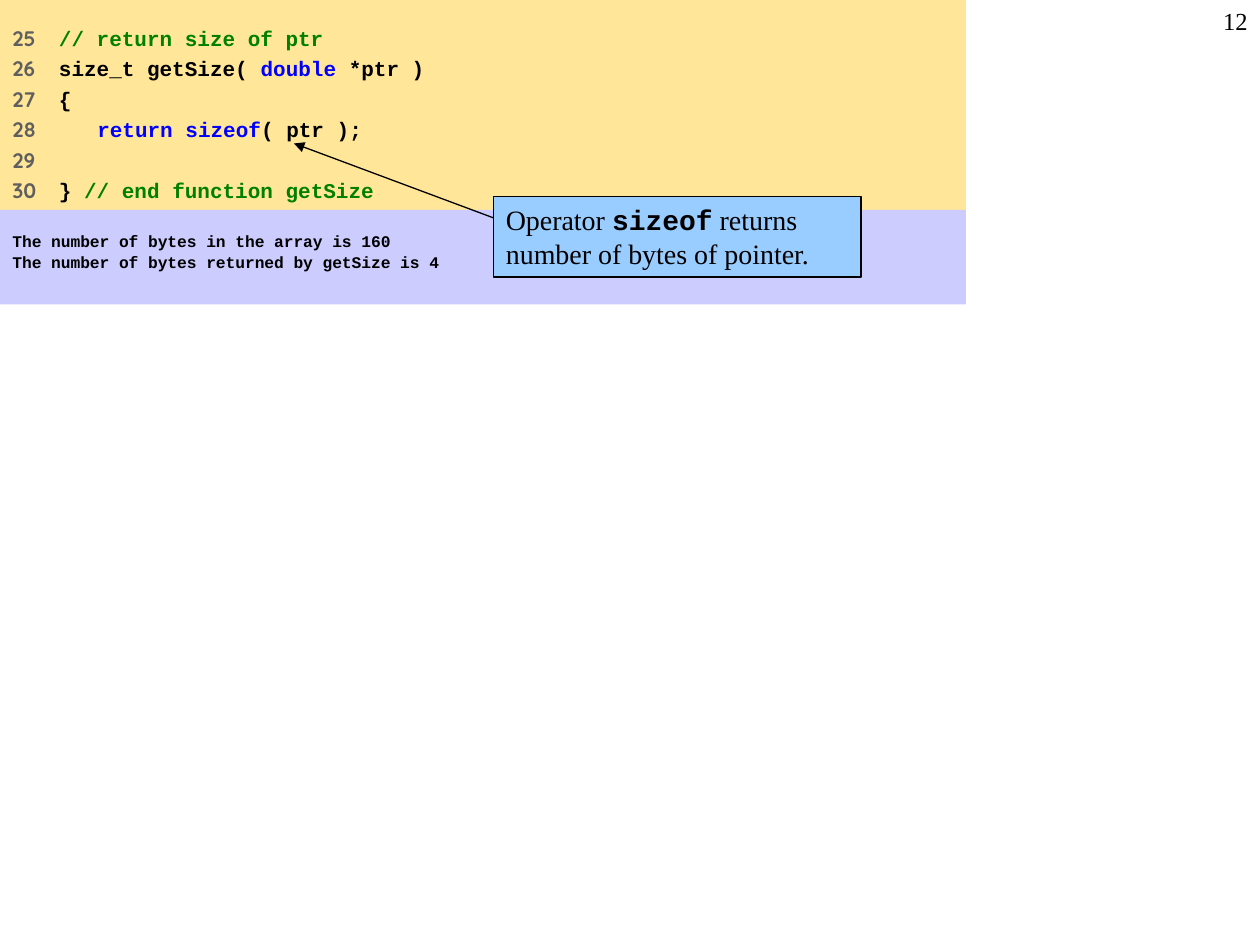
from dataclasses import dataclass

from lxml.etree import SubElement
from pptx import Presentation
from pptx.dml.color import RGBColor as Rgb
from pptx.enum.shapes import MSO_CONNECTOR as Link, MSO_SHAPE as Kind
from pptx.enum.text import MSO_ANCHOR as Anchor, PP_ALIGN as Align
from pptx.oxml.ns import qn
from pptx.util import Pt


@dataclass(frozen=True)
class Theme:
    """Colours, fonts and type sizes."""
    ink: str = "000000"
    dim: str = "5F5F5F"
    note: str = "008000"
    key: str = "0000FF"
    sand: str = "FFE699"
    lilac: str = "CCCCFF"
    sky: str = "99CCFF"
    mono: str = "Courier New"
    sans: str = "Quicksand"
    serif: str = "Times New Roman"
    code: float = 12
    out: float = 9.3
    call: float = 16
    page: float = 14
    rule: float = 0.74


class Deck:
    """Holds the theme and the current slide."""

    def __init__(self, theme, wide, high):
        """Start a deck with one blank slide."""
        self.theme = theme
        self.file = Presentation()
        self.file.slide_width, self.file.slide_height = Pt(wide), Pt(high)
        self.slide = self.file.slides.add_slide(self.file.slide_layouts[6])

    def text(self, shape, lines, size, pad=3.6, gap=0, lead=None,
             align=Align.LEFT, tabs=()):
        """Fill a shape with lines of (text, font, colour, bold) runs."""
        frame = shape.text_frame
        frame.word_wrap = True
        frame.vertical_anchor = Anchor.TOP
        frame.margin_left = frame.margin_right = Pt(7.2)
        frame.margin_top = frame.margin_bottom = Pt(pad)
        for i, line in enumerate(lines):
            para = frame.add_paragraph() if i else frame.paragraphs[0]
            para.alignment = align
            para.space_before = Pt(gap)
            if lead:
                para.line_spacing = lead
            if tabs:
                stops = SubElement(para._p.get_or_add_pPr(), qn("a:tabLst"))
                for pos in tabs:
                    SubElement(stops, qn("a:tab"), pos=str(Pt(pos)), algn="l")
            for words, face, tint, bold in line:
                run = para.add_run()
                run.text = words
                font = run.font
                font.name, font.size, font.bold = face, Pt(size), bold
                font.color.rgb = Rgb.from_string(tint)

    def label(self, box, lines, size, **style):
        """Add a plain text box."""
        shape = self.slide.shapes.add_textbox(*map(Pt, box))
        self.text(shape, lines, size, **style)

    def panel(self, box, fill, lines, size, edge=False, **style):
        """Add a filled box with text."""
        shape = self.slide.shapes.add_shape(Kind.RECTANGLE, *map(Pt, box))
        shape.shadow.inherit = False
        shape.fill.solid()
        shape.fill.fore_color.rgb = Rgb.from_string(fill)
        if edge:
            self.stroke(shape.line)
        else:
            shape.line.fill.background()
        self.text(shape, lines, size, **style)

    def stroke(self, line):
        """Set the thin dark line."""
        line.color.rgb = Rgb.from_string(self.theme.ink)
        line.width = Pt(self.theme.rule)

    def arrow(self, *ends):
        """Add an arrow from x, y to x, y."""
        link = self.slide.shapes.add_connector(Link.STRAIGHT, *map(Pt, ends))
        self.stroke(link.line)
        SubElement(link.line._get_or_add_ln(), qn("a:tailEnd"), type="triangle")
        SubElement(link._element.spPr, qn("a:effectLst"))


def main():
    """Build the slide and save it."""
    look = Theme()
    deck = Deck(look, 720, 540)

    def mono(words, tint=look.ink):
        """Make a bold code run."""
        return words, look.mono, tint, True

    def serif(words):
        """Make a plain text run."""
        return words, look.serif, look.ink, False

    code = [
        [mono("// return size of ptr", look.note)],
        [mono("size_t getSize( "), mono("double", look.key), mono(" *ptr )")],
        [mono("{")],
        [mono("\treturn sizeof", look.key), mono("( ptr );")],
        [],
        [mono("} "), mono("// end function getSize", look.note)],
    ]
    rows = [[(f"{num}\t", look.sans, look.dim, True), *runs]
            for num, runs in enumerate(code, 25)]
    out = [[mono("The number of bytes in the array is 160")],
           [mono("The number of bytes returned by getSize is 4")]]
    call = [[serif("Operator "), mono("sizeof"),
             serif(" returns number of bytes of pointer.")]]

    deck.label((684, 0, 36, 36), [[serif("12")]], look.page, align=Align.RIGHT)
    deck.panel((0, 0, 552, 126), look.sand, rows, look.code,
               pad=14.4, gap=3, tabs=(26.6, 48.5))
    deck.panel((0, 120, 552, 54), look.lilac, out, look.out,
               pad=14.4, gap=3, lead=0.8)
    deck.panel((282, 112.25, 210, 46), look.sky, call, look.call, edge=True)
    deck.arrow(282, 124.5, 168, 82)
    deck.file.save("out.pptx")


main()
